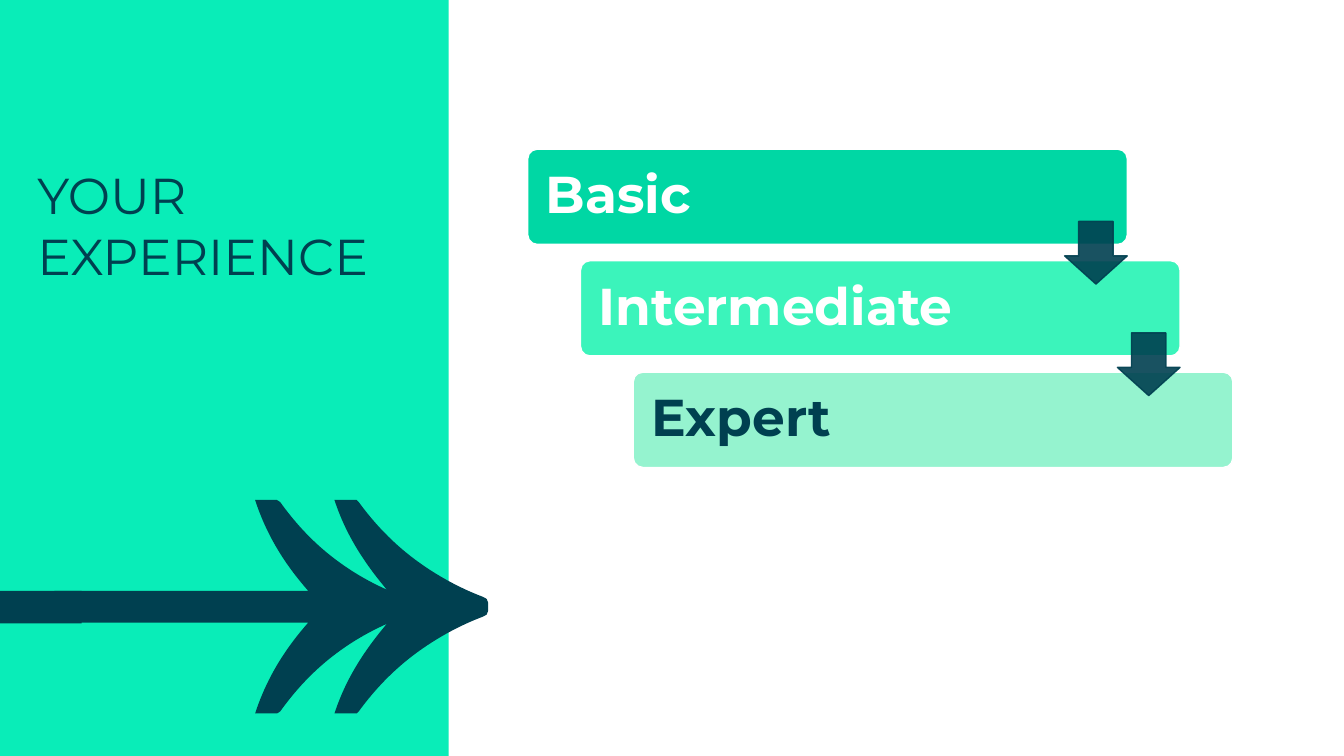
from lxml import etree
from pptx import Presentation
from pptx.dml.color import RGBColor
from pptx.enum.shapes import MSO_SHAPE
from pptx.enum.text import MSO_ANCHOR, MSO_AUTO_SIZE, PP_ALIGN
from pptx.oxml.ns import qn
from pptx.util import Cm, Pt

RECT, ROUNDED, DOWN = MSO_SHAPE.RECTANGLE, MSO_SHAPE.ROUNDED_RECTANGLE, MSO_SHAPE.DOWN_ARROW
TOP, MIDDLE = MSO_ANCHOR.TOP, MSO_ANCHOR.MIDDLE
LEFT, NO_FIT = PP_ALIGN.LEFT, MSO_AUTO_SIZE.NONE
NAVY, MINT, WHITE = "004050", "09EDB8", "FFFFFF"


def paint(sp, fill, line=None):
    sp.shadow.inherit = False
    sp.fill.solid()
    sp.fill.fore_color.rgb = RGBColor.from_string(fill)
    if line:
        sp.line.color.rgb = RGBColor.from_string(line)
        sp.line.width = Pt(1)
    else:
        sp.line.fill.background()


def write(sp, text, color, frame, font):
    tf = sp.text_frame
    for name, value in frame.items():
        setattr(tf, name, value)
    p = tf.paragraphs[0]
    p.alignment = LEFT
    r = p.add_run()
    r.text = text
    for name, value in font.items():
        setattr(r.font, name, value)
    r.font.color.rgb = RGBColor.from_string(color)
    return p


prs = Presentation()
prs.slide_width, prs.slide_height = Cm(33.87), Cm(19.05)
s = prs.slides.add_slide(prs.slide_layouts[5])

panel = s.shapes.add_shape(RECT, 0, 0, Cm(11.31), prs.slide_height)
paint(panel, MINT)

AXIS = 15.29
outline = [
    [(1.37, 14.89)],
    [(7.77, 14.89)],
    [(7.16, 14.2), (6.71, 13.46), (6.43, 12.6)],
    [(6.98, 12.6)],
    [(7.06, 12.65)],
    [(7.39, 13.11), (7.77, 13.54), (8.23, 13.92)],
    [(8.69, 14.3), (9.19, 14.61), (9.75, 14.86)],
    [(9.17, 14.17), (8.71, 13.46), (8.43, 12.6)],
    [(8.99, 12.6)],
    [(9.04, 12.65)],
    [(9.45, 13.21), (9.91, 13.69), (10.46, 14.1)],
    [(10.97, 14.48), (11.56, 14.81), (12.17, 15.04)],
    [(12.25, 15.06), (12.3, 15.11), (12.3, 15.18)],
]
flat = [point for segment in outline for point in segment]
mirrored = [(x, 2 * AXIS - y) for x, y in reversed(flat)]
sizes = [len(segment) for segment in outline]
segments = outline + [mirrored[:1]]
start = 1
for size in reversed(sizes[1:]):
    segments.append(mirrored[start:start + size])
    start += size

ends = [(Cm(x), Cm(y)) for x, y in (segment[-1] for segment in segments)]
builder = s.shapes.build_freeform(*ends[0])
builder.add_line_segments(ends[1:], close=True)
arrow = builder.convert_to_shape()
paint(arrow, NAVY)
sides = list(arrow._element.iter(qn("a:lnTo")))
for side, segment in zip(sides, segments[1:]):
    if len(segment) == 3:
        side.tag = qn("a:cubicBezTo")
        side.clear()
        for x, y in segment:
            etree.SubElement(side, qn("a:pt"), x=str(Cm(x) - arrow.left), y=str(Cm(y) - arrow.top))

shaft = s.shapes.add_shape(RECT, 0, Cm(14.89), Cm(2.06), Cm(0.82))
paint(shaft, NAVY)

STEP_X, STEP_Y = 1.33, 2.81
levels = [("Basic", "00D7A4", WHITE), ("Intermediate", "3BF4BB", WHITE), ("Expert", "95F3CF", NAVY)]
margins = ("margin_left", "margin_top", "margin_right", "margin_bottom")
frame = dict.fromkeys(margins, Cm(0.39))
frame.update(word_wrap=True, vertical_anchor=MIDDLE)
for i, (label, fill, color) in enumerate(levels):
    sp = s.shapes.add_shape(ROUNDED, Cm(13.3 + i * STEP_X), Cm(3.76 + i * STEP_Y), Cm(15.11), Cm(2.4))
    sp.adjustments[0] = 0.1
    paint(sp, fill, WHITE)
    p = write(sp, label, color, frame, {"name": "Montserrat", "size": Pt(37), "bold": True})
    p.line_spacing = 0.9

for i in range(len(levels) - 1):
    sp = s.shapes.add_shape(DOWN, Cm(26.83 + i * STEP_X), Cm(5.58 + i * STEP_Y), Cm(1.58), Cm(1.58))
    sp.adjustments[0], sp.adjustments[1] = 0.55, 0.45
    paint(sp, NAVY, NAVY)
    for clr in sp._element.spPr.iter(qn("a:srgbClr")):
        etree.SubElement(clr, qn("a:alpha"), val="90000")

title = s.shapes.title
title.left, title.top, title.width, title.height = Cm(0.94), Cm(4.14), Cm(9.58), Cm(7.65)
frame = dict.fromkeys(margins, 0)
frame.update(word_wrap=True, auto_size=NO_FIT, vertical_anchor=TOP)
write(title, "YOUR EXPERIENCE", NAVY, frame, {"name": "Montserrat", "size": Pt(36), "bold": False})
s.shapes._spTree.append(title._element)

prs.save("out.pptx")
